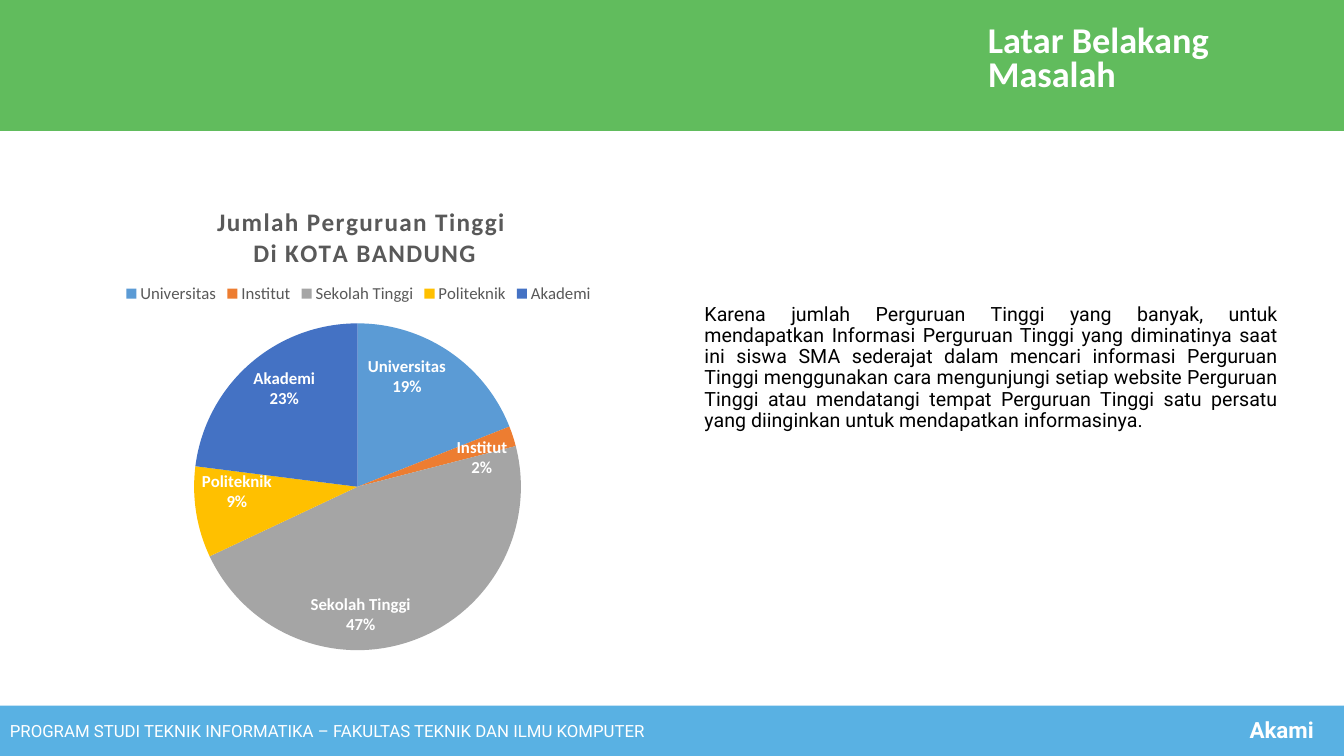
import pptx
import pptx.chart.data
import pptx.dml.color
import pptx.enum.chart
import pptx.enum.shapes
import pptx.enum.text
import pptx.oxml
import pptx.oxml.ns
import pptx.util
from pptx.util import Cm, Pt

SLIDE_WIDTH, SLIDE_HEIGHT = 33.87, 19.05
HEADER_HEIGHT, FOOTER_HEIGHT = 3.3, 1.27

SHARES = {
    "Universitas": (19, "5B9BD5"),
    "Institut": (2, "ED7D31"),
    "Sekolah Tinggi": (47, "A5A5A5"),
    "Politeknik": (9, "FFC000"),
    "Akademi": (23, "4472C4"),
}
BODY_TEXT = (
    "Karena jumlah Perguruan Tinggi yang banyak, untuk mendapatkan Informasi "
    "Perguruan Tinggi yang diminatinya saat ini siswa SMA sederajat dalam mencari "
    "informasi Perguruan Tinggi menggunakan cara mengunjungi setiap website "
    "Perguruan Tinggi atau mendatangi tempat Perguruan Tinggi satu persatu yang "
    "diinginkan untuk mendapatkan informasinya."
)


def color(hex_value):
    """Return the RGB colour for a hex string."""
    return pptx.dml.color.RGBColor.from_string(hex_value)


def set_font(font, name, size, hex_value, bold=False):
    """Set family, size, colour and weight of a font."""
    font.name = name
    font.size = Pt(size)
    font.bold = bold
    font.color.rgb = color(hex_value)


def place(shape, left, top, width, height):
    """Move a shape to a box given in centimetres."""
    shape.left, shape.top = Cm(left), Cm(top)
    shape.width, shape.height = Cm(width), Cm(height)


def write_text(shape, text, name, size, hex_value, bold=False,
               alignment=pptx.enum.text.PP_ALIGN.LEFT,
               anchor=pptx.enum.text.MSO_ANCHOR.TOP,
               line_spacing=1.0, space_before=0):
    """Fill a shape with one formatted paragraph and return the paragraph."""
    frame = shape.text_frame
    frame.word_wrap = True
    frame.auto_size = pptx.enum.text.MSO_AUTO_SIZE.NONE
    frame.vertical_anchor = anchor
    paragraph = frame.paragraphs[0]
    paragraph.text = text
    paragraph.alignment = alignment
    paragraph.line_spacing = line_spacing
    paragraph.space_before = Pt(space_before)
    set_font(paragraph.font, name, size, hex_value, bold)
    return paragraph


def add_band(slide, left, top, width, height, fill):
    """Add a plain coloured rectangle."""
    band = slide.shapes.add_shape(
        pptx.enum.shapes.MSO_SHAPE.RECTANGLE,
        Cm(left), Cm(top), Cm(width), Cm(height))
    band.shadow.inherit = False
    band.fill.solid()
    band.fill.fore_color.rgb = color(fill)
    band.line.fill.background()
    return band


def build_header(slide, left, top, width, height):
    """Build the green header with the slide title at its right."""
    add_band(slide, left, top, width, height, "61BC5D")
    title = slide.shapes.title
    slide.shapes.element.append(title.element)
    place(title, left + width - 9.23, top + 0.51, 8.43, 2.16)
    write_text(title, "Latar Belakang Masalah", "Calibri", 25.9, "FFFFFF",
               bold=True, line_spacing=0.8, space_before=10)


def build_footer(slide, left, top, width, height):
    """Build the blue footer with the department and the application name."""
    band = add_band(slide, left, top, width, height, "59B1E3")
    write_text(band, "PROGRAM STUDI TEKNIK INFORMATIKA – FAKULTAS TEKNIK DAN ILMU KOMPUTER",
               "Roboto", 12, "FFFFFF", anchor=pptx.enum.text.MSO_ANCHOR.MIDDLE)
    name = slide.shapes.add_textbox(
        Cm(left + width - 2.63), Cm(top + 0.28), Cm(2.63), Cm(0.84))
    write_text(name, "Akami", "Roboto", 16, "FFFFFF", bold=True,
               line_spacing=0.8, space_before=10)


def build_body(slide, left, top, width, height):
    """Build the justified explanation in the body placeholder."""
    body = slide.placeholders[1]
    place(body, left, top, width, height)
    paragraph = write_text(body, BODY_TEXT, "Roboto", 14, "000000",
                           alignment=pptx.enum.text.PP_ALIGN.JUSTIFY,
                           line_spacing=0.9)
    paragraph.space_after = Pt(6)
    body.text_frame.margin_top = Cm(0.86)
    properties = paragraph._p.get_or_add_pPr()
    properties.set("marL", "0")
    properties.set("indent", "0")
    properties.append(pptx.oxml.parse_xml(
        f"<a:buNone {pptx.oxml.ns.nsdecls('a')}/>"))


def set_layout(element, index, target="", **fractions):
    """Give a chart part a manual layout in fractions of the chart."""
    for layout in element.findall(pptx.oxml.ns.qn("c:layout")):
        element.remove(layout)
    inner = f'<c:layoutTarget val="{target}"/>' if target else ""
    modes = "".join(f'<c:{key}Mode val="edge"/>' for key in "xy")
    sizes = "".join(f'<c:{key} val="{value}"/>' for key, value in fractions.items())
    element.insert(index, pptx.oxml.parse_xml(
        f"<c:layout {pptx.oxml.ns.nsdecls('c')}><c:manualLayout>"
        f"{inner}{modes}{sizes}</c:manualLayout></c:layout>"))


def build_chart(slide, left, top, width, height):
    """Build the pie chart of institutions with title, legend and labels."""
    data = pptx.chart.data.CategoryChartData()
    data.categories = list(SHARES)
    data.add_series("Series 1", [value for value, _ in SHARES.values()])
    chart = slide.shapes.add_chart(
        pptx.enum.chart.XL_CHART_TYPE.PIE,
        Cm(left), Cm(top), Cm(width), Cm(height), data).chart
    set_font(chart.font, "Calibri", 10, "000000")

    title_frame = chart.chart_title.text_frame
    title_frame.text = "Jumlah Perguruan Tinggi \nDi KOTA BANDUNG"
    for paragraph in title_frame.paragraphs:
        set_font(paragraph.font, "Calibri", 18, "595959", bold=True)
        paragraph.font._element.set("spc", "100")
    chart.chart_title.include_in_layout = False
    set_layout(chart.chart_title._element, 1, x=0.28, y=0.04)

    chart.has_legend = True
    chart.legend.position = pptx.enum.chart.XL_LEGEND_POSITION.TOP
    chart.legend.include_in_layout = False
    set_font(chart.legend.font, "Calibri", 12, "595959")
    set_layout(chart.legend._element, 1, x=0.14, y=0.2)

    plot = chart.plots[0]
    plot.vary_by_categories = True
    set_layout(chart._chartSpace.chart.plotArea, 0, "inner",
               x=0.25, y=0.29, w=0.49, h=0.68)
    for index, (_, fill) in enumerate(SHARES.values()):
        point = plot.series[0].points[index]
        point.format.fill.solid()
        point.format.fill.fore_color.rgb = color(fill)

    labels = plot.series[0].data_labels
    labels.show_percentage = True
    labels.show_category_name = True
    labels.show_value = False
    labels.number_format = "0%"
    labels.number_format_is_linked = False
    labels.position = pptx.enum.chart.XL_LABEL_POSITION.INSIDE_END
    set_font(labels.font, "Calibri", 12, "FFFFFF", bold=True)
    separator = pptx.oxml.parse_xml(
        f"<c:separator {pptx.oxml.ns.nsdecls('c')}>\n</c:separator>")
    labels._element.find(pptx.oxml.ns.qn("c:showBubbleSize")).addnext(separator)


def main():
    """Build the slide and save the presentation."""
    presentation = pptx.Presentation()
    presentation.slide_width = Cm(SLIDE_WIDTH)
    presentation.slide_height = Cm(SLIDE_HEIGHT)
    slide = presentation.slides.add_slide(presentation.slide_layouts[1])
    build_header(slide, 0, 0, SLIDE_WIDTH, HEADER_HEIGHT)
    build_footer(slide, 0, SLIDE_HEIGHT - FOOTER_HEIGHT, SLIDE_WIDTH, FOOTER_HEIGHT)
    build_body(slide, 17.5, 6.81, 14.96, 6.68)
    build_chart(slide, 0.69, 4.62, 16.81, 12.14)
    presentation.save("out.pptx")


if __name__ == "__main__":
    main()
